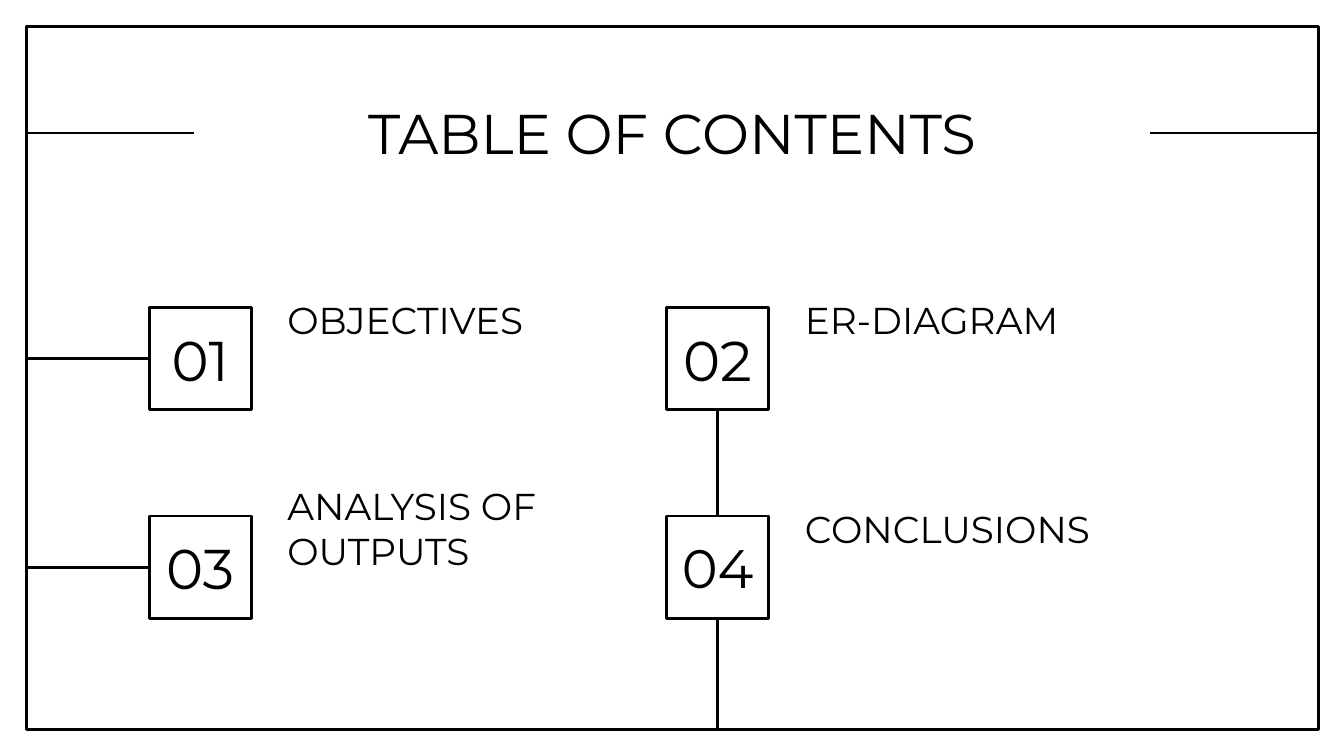
from pptx import Presentation
from pptx.dml.color import RGBColor
from pptx.enum.shapes import MSO_CONNECTOR, MSO_SHAPE
from pptx.enum.text import MSO_ANCHOR, MSO_AUTO_SIZE, PP_ALIGN
from pptx.oxml.ns import qn
from pptx.util import Inches, Pt
from lxml.etree import SubElement

THEME = {
    "ink": RGBColor(0, 0, 0),
    "font": "Montserrat",
    "heading": Pt(30),
    "last_number": Pt(29),
    "label": Pt(20),
    "stroke": Pt(1.5),
}

# Grid: frame edges, then the columns and rows of the four entries
LEFT, TOP, RIGHT, BOTTOM = 0.2, 0.2, 9.81, 5.43
COLUMNS = (1.11, 4.96)
ROWS = (2.29, 3.84)
BOX = 0.76
LABEL_DX, LABEL_DY = 0.93, -0.14
TITLE_LEFT, TITLE_WIDTH, TITLE_RULE = 1.44, 7.12, 0.99

ENTRIES = ("OBJECTIVES", "ER-DIAGRAM", "ANALYSIS OF OUTPUTS", "CONCLUSIONS")


def write(shape, words, size, align):
    frame = shape.text_frame
    frame.auto_size = MSO_AUTO_SIZE.NONE
    frame.word_wrap = True
    frame.vertical_anchor = MSO_ANCHOR.MIDDLE
    frame.margin_left = frame.margin_right = Inches(0.1)
    frame.margin_top = frame.margin_bottom = Inches(0.1)
    paragraph = frame.paragraphs[0]
    paragraph.alignment = align
    run = paragraph.add_run()
    run.text = words
    run.font.name = THEME["font"]
    run.font.size = size
    run.font.color.rgb = THEME["ink"]


def outlined_box(left, top, width, height):
    box = slide.shapes.add_shape(
        MSO_SHAPE.RECTANGLE, Inches(left), Inches(top), Inches(width), Inches(height))
    box.shadow.inherit = False
    box.fill.background()
    box.line.color.rgb = THEME["ink"]
    box.line.width = THEME["stroke"]
    return box


deck = Presentation()
deck.slide_width = Inches(10)
deck.slide_height = deck.slide_width * 9 // 16
slide = deck.slides.add_slide(deck.slide_layouts[5])

outlined_box(LEFT, TOP, RIGHT - LEFT, BOTTOM - TOP)

title = slide.shapes.title
title.left, title.top = Inches(TITLE_LEFT), Inches(0.67)
title.width, title.height = Inches(TITLE_WIDTH), Inches(0.63)
write(title, "TABLE OF CONTENTS", THEME["heading"], PP_ALIGN.CENTER)

# Numbered entries, filled row by row
for index, entry in enumerate(ENTRIES):
    row, column = divmod(index, len(COLUMNS))
    left, top = COLUMNS[column], ROWS[row]
    number_size = THEME["last_number" if index == len(ENTRIES) - 1 else "heading"]
    write(outlined_box(left, top, BOX, BOX), f"{index + 1:02d}", number_size, PP_ALIGN.CENTER)
    label = slide.shapes.add_textbox(
        Inches(left + LABEL_DX), Inches(top + LABEL_DY), Inches(2.66), Inches(0.46))
    write(label, entry, THEME["label"], PP_ALIGN.LEFT)

# Rules beside the title, from the frame to the left boxes, and down the right column
spine = COLUMNS[1] + BOX / 2
rules = [
    (TITLE_LEFT + TITLE_WIDTH, TITLE_RULE, RIGHT, TITLE_RULE),
    (TITLE_LEFT, TITLE_RULE, LEFT, TITLE_RULE),
]
for row_top, next_top in zip(ROWS, (ROWS[1], BOTTOM)):
    middle = row_top + BOX / 2
    rules.append((COLUMNS[0], middle, LEFT, middle))
    rules.append((spine, row_top + BOX, spine, next_top))

for ends in rules:
    rule = slide.shapes.add_connector(MSO_CONNECTOR.STRAIGHT, *map(Inches, ends))
    rule.line.color.rgb = THEME["ink"]
    rule.line.width = THEME["stroke"]
    SubElement(rule._element.spPr, qn("a:effectLst"))

deck.save("out.pptx")
